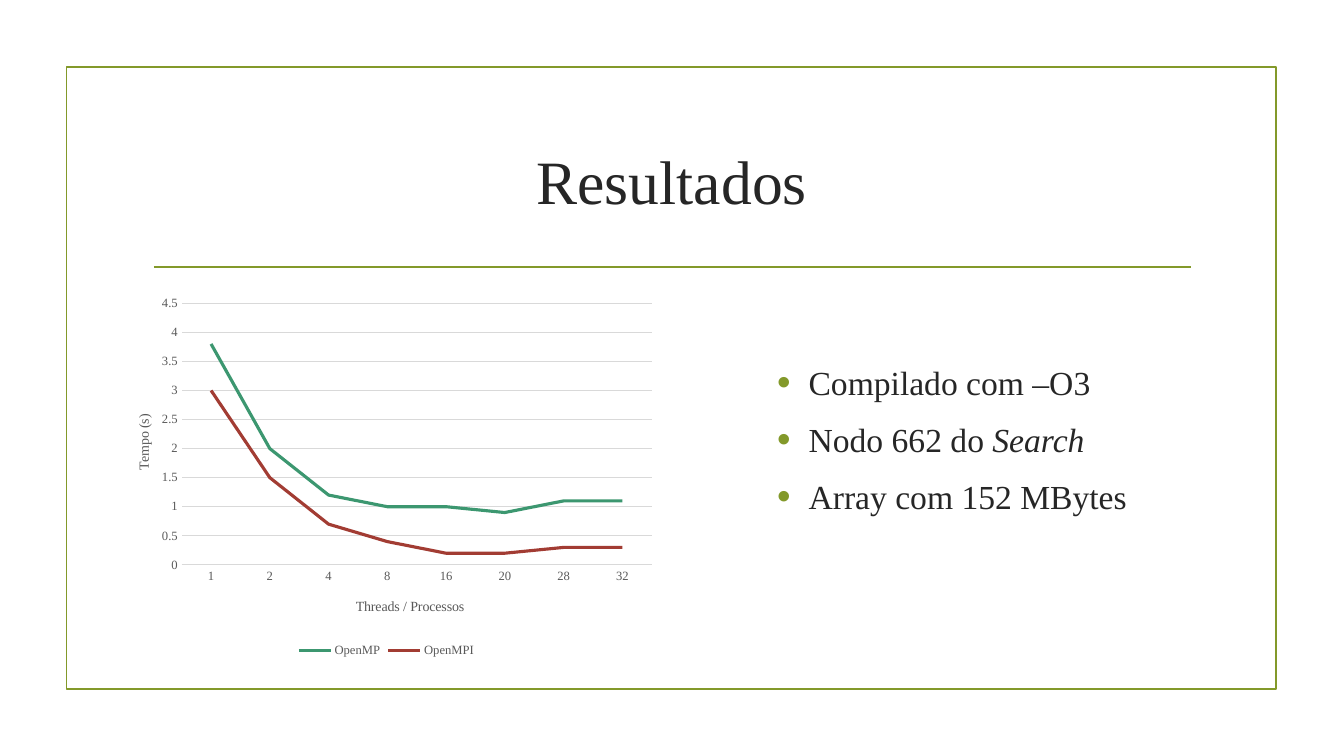
from lxml.etree import SubElement
from pptx import Presentation
from pptx.chart.data import CategoryChartData
from pptx.dml.color import RGBColor
from pptx.enum.chart import XL_CHART_TYPE, XL_LEGEND_POSITION, XL_TICK_MARK
from pptx.enum.shapes import MSO_CONNECTOR, MSO_SHAPE
from pptx.enum.text import MSO_ANCHOR, PP_ALIGN
from pptx.oxml import parse_xml
from pptx.oxml.ns import nsdecls, qn
from pptx.util import Pt

FACE = "Times New Roman"
OLIVE, INK, GRAY, RULE = "83992A", "262626", "595959", "D9D9D9"


def paint(target, color):
    target.rgb = RGBColor.from_string(color)


def write(par, text, size=24, color=INK, italic=False):
    run = par.add_run()
    run.text = text
    font = run.font
    font.name, font.size, font.bold, font.italic = FACE, Pt(size), False, italic
    paint(font.color, color)


deck = Presentation()
deck.slide_width, deck.slide_height = Pt(960), Pt(540)
slide = deck.slides.add_slide(deck.slide_layouts[5])
shapes = slide.shapes

# Frame and divider
frame = shapes.add_shape(MSO_SHAPE.RECTANGLE, Pt(47.5), Pt(48), Pt(864), Pt(444))
frame.shadow.inherit = False
frame.fill.background()
rule = shapes.add_connector(MSO_CONNECTOR.STRAIGHT, Pt(110), Pt(190.5), Pt(850.5), Pt(190.5))
SubElement(rule._element.spPr, qn("a:effectLst"))
for item in (frame, rule):
    paint(item.line.color, OLIVE)
    item.line.width = Pt(1.25)

# Title
title = shapes.title
title.left, title.top, title.width, title.height = Pt(102), Pt(77), Pt(756), Pt(103)
title.text_frame.vertical_anchor = MSO_ANCHOR.MIDDLE
head = title.text_frame.paragraphs[0]
head.alignment = PP_ALIGN.CENTER
write(head, "Resultados", size=44)

# Bullets: each line is a list of (text, italic) pieces
lines = [
    [("Compilado com –O3", False)],
    [("Nodo 662 do ", False), ("Search", True)],
    [("Array com 152 MBytes", False)],
]
body = shapes.add_textbox(Pt(548), Pt(255), Pt(310), Pt(135)).text_frame
body.word_wrap = True
for i, pieces in enumerate(lines):
    par = body.add_paragraph() if i else body.paragraphs[0]
    par.space_before = par.space_after = Pt(6)
    props = par._p.get_or_add_pPr()
    props.set("marL", str(Pt(22.5)))
    props.set("indent", str(-Pt(22.5)))
    tint = SubElement(props, qn("a:buClr"))
    SubElement(tint, qn("a:srgbClr"), val=OLIVE)
    SubElement(props, qn("a:buSzPct"), val="115000")
    SubElement(props, qn("a:buFont"), typeface="Arial")
    SubElement(props, qn("a:buChar"), char="•")
    for text, slant in pieces:
        write(par, text, italic=slant)

# Chart
data = CategoryChartData()
data.categories = ["1", "2", "4", "8", "16", "20", "28", "32"]
data.add_series("OpenMP", [3.8, 2, 1.2, 1, 1, 0.9, 1.1, 1.1])
data.add_series("OpenMPI", [3, 1.5, 0.7, 0.4, 0.2, 0.2, 0.3, 0.3])
chart = shapes.add_chart(
    XL_CHART_TYPE.LINE, Pt(78.5), Pt(206), Pt(395), Pt(267), data).chart
chart.has_title = False
chart.font.name, chart.font.size = FACE, Pt(9)
paint(chart.font.color, GRAY)
chart.has_legend = True
chart.legend.position = XL_LEGEND_POSITION.BOTTOM
chart.legend.include_in_layout = False

plot = chart.plots[0]
plot.vary_by_categories = False
for series, color in zip(plot.series, ("3C9770", "A23C33")):
    series.smooth = False
    series.format.line.width = Pt(2.25)
    paint(series.format.line.color, color)

across, up = chart.category_axis, chart.value_axis
up.minimum_scale, up.maximum_scale, up.major_unit = 0, 4.5, 0.5
up.tick_labels.number_format = "General"
up.tick_labels.number_format_is_linked = False
up.format.line.fill.background()
for line in (across.format.line, up.major_gridlines.format.line):
    paint(line.color, RULE)
    line.width = Pt(0.75)
for axis, name in ((across, "Threads / Processos"), (up, "Tempo (s)")):
    axis.major_tick_mark = axis.minor_tick_mark = XL_TICK_MARK.NONE
    write(axis.axis_title.text_frame.paragraphs[0], name, size=10, color=GRAY)

# Places inside the chart, as shares of its width and height
area = chart._chartSpace.chart.plotArea
places = [
    (area, {"x": 0.13, "y": 0.04, "w": 0.85, "h": 0.7}),
    (across.axis_title._element, {"x": 0.44, "y": 0.82}),
    (up.axis_title._element, {"x": 0.04, "y": 0.33}),
]
for part, place in places:
    for old in part.findall(qn("c:layout")):
        part.remove(old)
    layout = parse_xml(f"<c:layout {nsdecls('c')}><c:manualLayout/></c:layout>")
    manual = layout[0]
    if part is area:
        SubElement(manual, qn("c:layoutTarget"), val="inner")
    for key in ("x", "y"):
        SubElement(manual, qn(f"c:{key}Mode"), val="edge")
    for key, share in place.items():
        SubElement(manual, qn(f"c:{key}"), val=str(share))
    text = part.find(qn("c:tx"))
    part.insert(0 if text is None else 1, layout)

deck.save("out.pptx")
